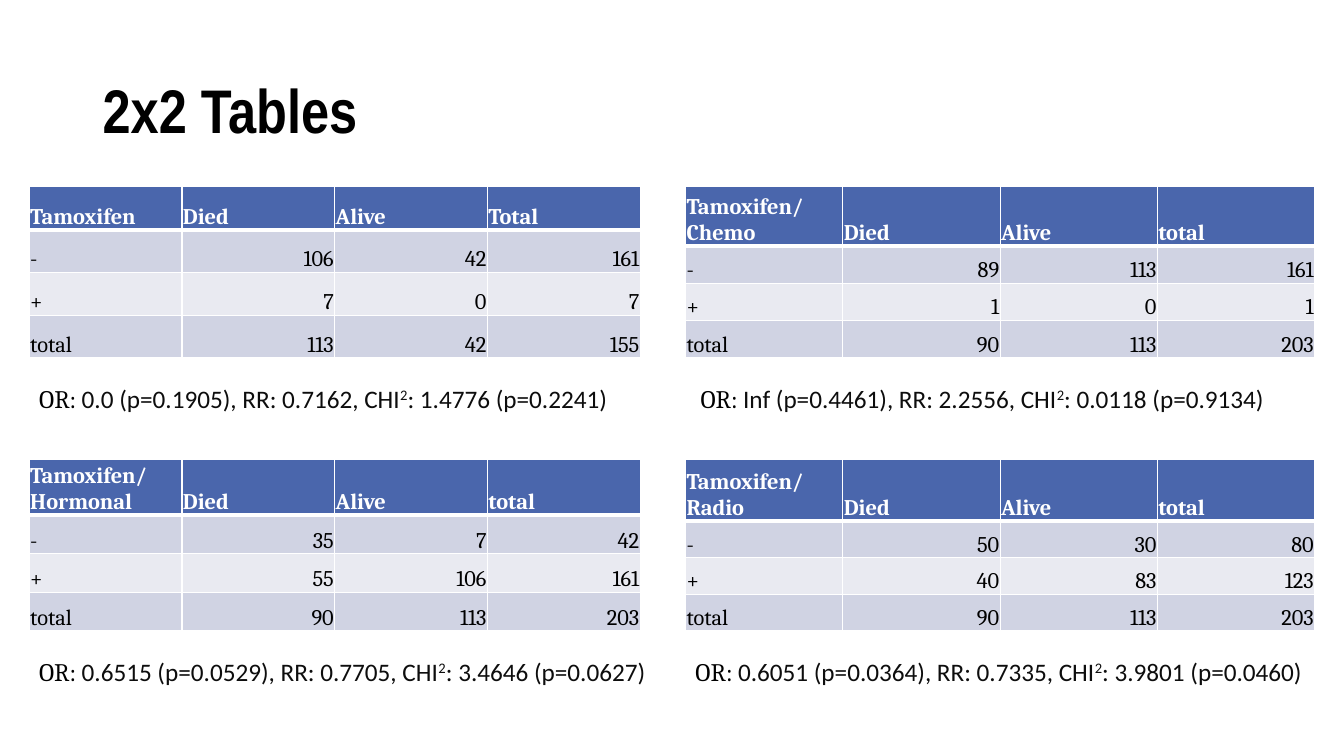
"""Build a slide of four two-by-two tables with their test results."""
from dataclasses import dataclass

from lxml import etree
from pptx import Presentation
from pptx import util as u
from pptx.dml import color as dml
from pptx.enum import text as et
from pptx.oxml import ns


@dataclass(frozen=True)
class Theme:
    head: str = "4A66AC"
    band: str = "D0D3E3"
    pale: str = "E9EAF1"
    white: str = "FFFFFF"
    black: str = "000000"
    ink: str = "0D0D0D"
    title: int = 44
    note: int = 18
    cell: int = 16
    narrow: str = "Arial Narrow"
    serif: str = "Cambria"
    sans: str = "Calibri"


THEME = Theme()
HIGH = 1.7
LABELS = ("-", "+", "total")
GROUPS = (
    dict(left=0.29, top=1.85, width=6.06, head=0.43,
         name="Tamoxifen", total="Total",
         counts=((106, 42, 161), (7, 0, 7), (113, 42, 155)),
         note=(0.29, 3.75, 5.88),
         odds="0.0 (p=0.1905), RR: 0.7162", chi="1.4776 (p=0.2241)"),
    dict(left=6.8, top=1.85, width=6.24, head=0.59,
         name="Tamoxifen/\nChemo", total="total",
         counts=((89, 113, 161), (1, 0, 1), (90, 113, 203)),
         note=(6.85, 3.75, 5.88),
         odds="Inf (p=0.4461), RR: 2.2556", chi="0.0118 (p=0.9134)"),
    dict(left=0.29, top=4.56, width=6.06, head=0.55,
         name="Tamoxifen/\nHormonal", total="total",
         counts=((35, 7, 42), (55, 106, 161), (90, 113, 203)),
         note=(0.29, 6.46, 6.37),
         odds="0.6515 (p=0.0529), RR: 0.7705", chi="3.4646 (p=0.0627)"),
    dict(left=6.8, top=4.56, width=6.24, head=0.61,
         name="Tamoxifen/\nRadio", total="total",
         counts=((50, 30, 80), (40, 83, 123), (90, 113, 203)),
         note=(6.8, 6.46, 6.53),
         odds="0.6051 (p=0.0364), RR: 0.7335", chi="3.9801 (p=0.0460)"),
)


def write(para, words, size, font, color, bold=False, rise=0):
    """Add a run of text to a paragraph, raised by a percentage."""
    run = para.add_run()
    run.text = words
    run.font.size = u.Pt(size)
    run.font.name = font
    run.font.bold = bold
    run.font.color.rgb = dml.RGBColor.from_string(color)
    if rise:
        run.font._element.set("baseline", str(rise * 1000))


def add_box(slide, left, top, width, height):
    """Add a wrapping text box and return its frame."""
    box = slide.shapes.add_textbox(*map(u.Inches, (left, top, width, height)))
    box.text_frame.word_wrap = True
    return box.text_frame


def add_title(slide, words):
    """Add the slide title."""
    frame = add_box(slide, 0.92, 0.4, 11.5, 1.45)
    frame.vertical_anchor = et.MSO_ANCHOR.MIDDLE
    para = frame.paragraphs[0]
    para.line_spacing = 0.9
    write(para, words, THEME.title, THEME.narrow, THEME.black, bold=True)


def add_edge(cell, side, width):
    """Draw one white border of a cell."""
    props = cell._tc.get_or_add_tcPr()
    line = etree.SubElement(props, ns.qn(f"a:ln{side}"), w=str(u.Pt(width)))
    fill = etree.SubElement(line, ns.qn("a:solidFill"))
    etree.SubElement(fill, ns.qn("a:srgbClr"), val=THEME.white)


def fill_cell(cell, words, row, right):
    """Fill a cell with its borders, colour and text."""
    for side in "LRTB":
        thick = (row, side) in ((0, "B"), (1, "T"))
        add_edge(cell, side, 3 if thick else 1)
    cell.fill.solid()
    shade = (THEME.head, THEME.band, THEME.pale, THEME.band)[row]
    cell.fill.fore_color.rgb = dml.RGBColor.from_string(shade)
    cell.margin_left = cell.margin_right = cell.margin_top = u.Inches(0.01)
    cell.margin_bottom = 0
    cell.vertical_anchor = et.MSO_ANCHOR.BOTTOM
    frame = cell.text_frame
    for index, part in enumerate(words.split("\n")):
        para = frame.add_paragraph() if index else frame.paragraphs[0]
        para.alignment = et.PP_ALIGN.RIGHT if right else et.PP_ALIGN.LEFT
        write(para, part, THEME.cell, THEME.serif,
              THEME.black if row else THEME.white, bold=row == 0)


def add_grid(slide, group):
    """Add the table of one treatment group."""
    rows = [(group["name"], "Died", "Alive", group["total"])]
    rows += [(label, *nums) for label, nums in zip(LABELS, group["counts"])]
    place = (group["left"], group["top"], group["width"], HIGH)
    grid = slide.shapes.add_table(4, 4, *map(u.Inches, place)).table
    for col in grid.columns:
        col.width = u.Inches(group["width"] / 4)
    for r, values in enumerate(rows):
        rest = (HIGH - group["head"]) / 3
        grid.rows[r].height = u.Inches(rest if r else group["head"])
        for c, value in enumerate(values):
            fill_cell(grid.cell(r, c), str(value), r, right=r > 0 and c > 0)


def add_note(slide, group):
    """Add the line of test results below a table."""
    frame = add_box(slide, *group["note"], 0.4)
    frame.auto_size = et.MSO_AUTO_SIZE.SHAPE_TO_FIT_TEXT
    para = frame.paragraphs[0]
    plain = dict(size=THEME.note, font=THEME.sans, color=THEME.ink)
    write(para, "OR: ", THEME.note, THEME.serif, THEME.black)
    write(para, f"{group['odds']}, CHI", **plain)
    write(para, "2", rise=30, **plain)
    write(para, f": {group['chi']}", **plain)


def main():
    """Build and save the slide."""
    deck = Presentation()
    deck.slide_width = u.Inches(13.33)
    deck.slide_height = u.Inches(7.5)
    slide = deck.slides.add_slide(deck.slide_layouts[6])
    add_title(slide, "2x2 Tables")
    for group in GROUPS:
        add_grid(slide, group)
        add_note(slide, group)
    deck.save("out.pptx")


if __name__ == "__main__":
    main()
